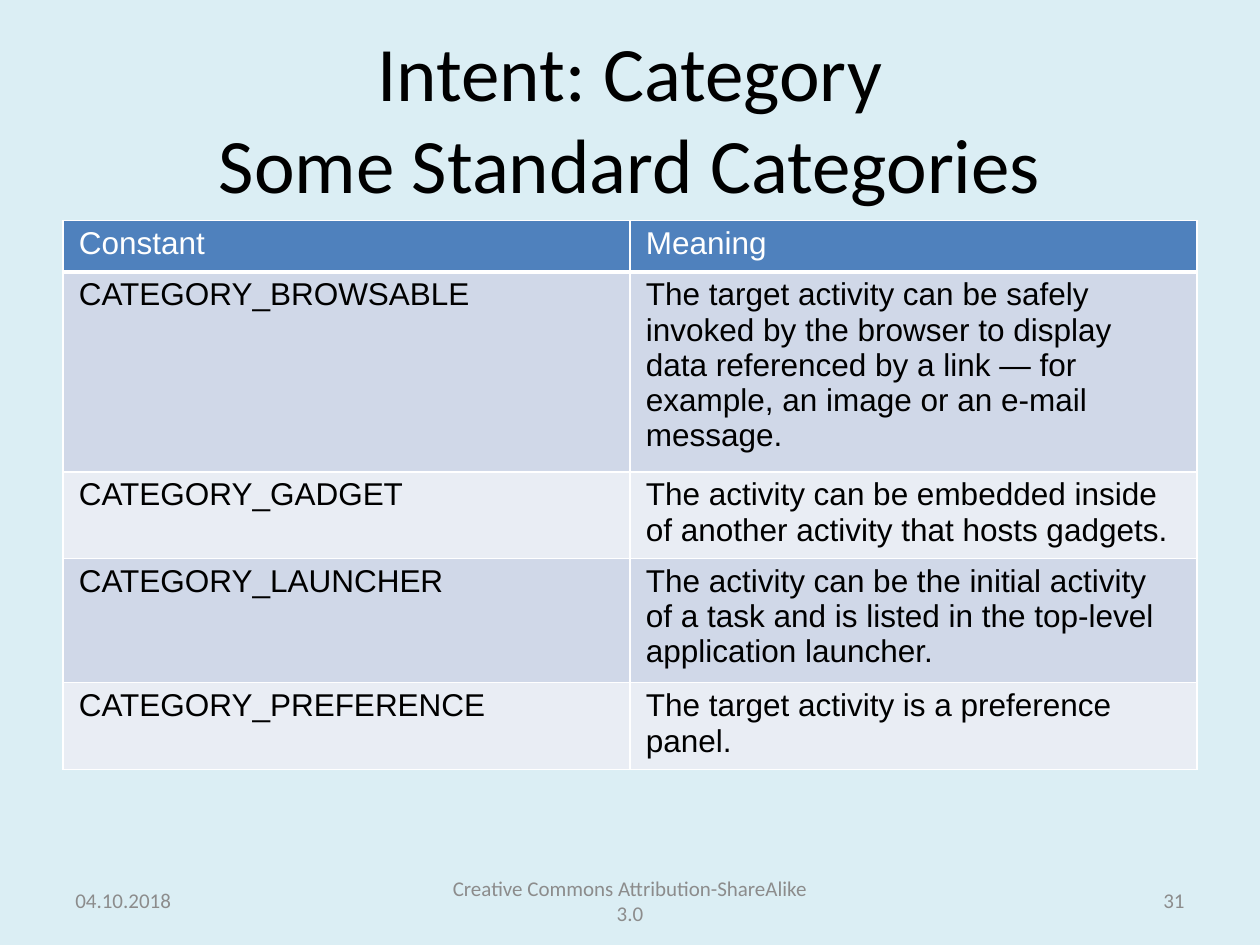
import pptx
import pptx.dml.color
import pptx.enum.text
import pptx.oxml
import pptx.oxml.ns
import pptx.util
from pptx.util import Cm

COLORS = {
    "background": "DBEEF4",
    "text": "000000",
    "footer": "8C8C8C",
    "header": "4F81BD",
    "header_text": "FFFFFF",
    "odd_row": "D0D8E8",
    "even_row": "E9EDF4",
    "border": "FFFFFF",
}
ALIGN = pptx.enum.text.PP_ALIGN

CATEGORIES = [
    ("Constant", "Meaning"),
    ("CATEGORY_BROWSABLE",
     "The target activity can be safely invoked by the browser to display data "
     "referenced by a link — for example, an image or an e-mail message."),
    ("CATEGORY_GADGET",
     "The activity can be embedded inside of another activity that hosts gadgets."),
    ("CATEGORY_LAUNCHER",
     "The activity can be the initial activity of a task and is listed in the "
     "top-level application launcher."),
    ("CATEGORY_PREFERENCE", "The target activity is a preference panel."),
]


def rgb(name):
    return pptx.dml.color.RGBColor.from_string(COLORS[name])


def set_all(target, values):
    for attribute, value in values.items():
        setattr(target, attribute, value)


def style_text(frame, font, size, color, align):
    for paragraph in frame.paragraphs:
        paragraph.alignment = align
        for run in paragraph.runs:
            set_all(run.font, {"name": font, "size": pptx.util.Pt(size), "bold": False})
            run.font.color.rgb = rgb(color)


def add_text(slide, box, text, size, color, align):
    frame = slide.shapes.add_textbox(*box).text_frame
    set_all(frame, {
        "word_wrap": True,
        "vertical_anchor": pptx.enum.text.MSO_ANCHOR.MIDDLE,
        "text": text,
    })
    style_text(frame, "Calibri", size, color, align)


def add_borders(cell, bottom_width):
    properties = cell._tc.get_or_add_tcPr()
    widths = {"lnL": 1, "lnR": 1, "lnT": 1, "lnB": bottom_width}
    for position, (side, width) in enumerate(widths.items()):
        line = pptx.oxml.parse_xml(
            f'<a:{side} {pptx.oxml.ns.nsdecls("a")} w="{pptx.util.Pt(width)}">'
            f'<a:solidFill><a:srgbClr val="{COLORS["border"]}"/></a:solidFill></a:{side}>')
        properties.insert(position, line)


def add_category_table(slide, box):
    left, top, width, row_height = box
    table = slide.shapes.add_table(
        len(CATEGORIES), 2, left, top, width, row_height * len(CATEGORIES)).table
    for row in table.rows:
        row.height = row_height
    for r, texts in enumerate(CATEGORIES):
        is_header = r == 0
        fill = "header" if is_header else "odd_row" if r % 2 else "even_row"
        for c, text in enumerate(texts):
            cell = table.cell(r, c)
            set_all(cell, {
                "text": text,
                "margin_left": Cm(0.32), "margin_right": Cm(0.32),
                "margin_top": Cm(0.11), "margin_bottom": Cm(0.11),
            })
            style_text(cell.text_frame, "Arial", 18,
                       "header_text" if is_header else "text", ALIGN.LEFT)
            cell.fill.solid()
            cell.fill.fore_color.rgb = rgb(fill)
            add_borders(cell, 3 if is_header else 1)


def add_footer(slide, box):
    left, top, width, height = box
    side, middle = Cm(5.92), Cm(8.04)
    parts = [
        ("04.10.2018", left, side, ALIGN.LEFT),
        ("Creative Commons Attribution-ShareAlike 3.0",
         left + (width - middle) // 2, middle, ALIGN.CENTER),
        ("31", left + width - side, side, ALIGN.RIGHT),
    ]
    for text, part_left, part_width, align in parts:
        add_text(slide, (part_left, top, part_width, height), text, 12, "footer", align)


def main():
    deck = pptx.Presentation()
    set_all(deck, {"slide_width": Cm(25.4), "slide_height": Cm(19.05)})
    slide = deck.slides.add_slide(deck.slide_layouts[6])
    slide.background.fill.solid()
    slide.background.fill.fore_color.rgb = rgb("background")

    margin, content_width = Cm(1.27), Cm(22.86)
    # Title
    add_text(slide, (margin, Cm(0.76), content_width, Cm(3.18)),
             "Intent: Category\vSome Standard Categories", 44, "text", ALIGN.CENTER)
    # Table of categories
    add_category_table(slide, (margin, Cm(4.45), content_width, Cm(1.03)))
    # Date, licence and slide number
    add_footer(slide, (margin, Cm(17.65), content_width, Cm(1.01)))
    deck.save("out.pptx")


if __name__ == "__main__":
    main()
